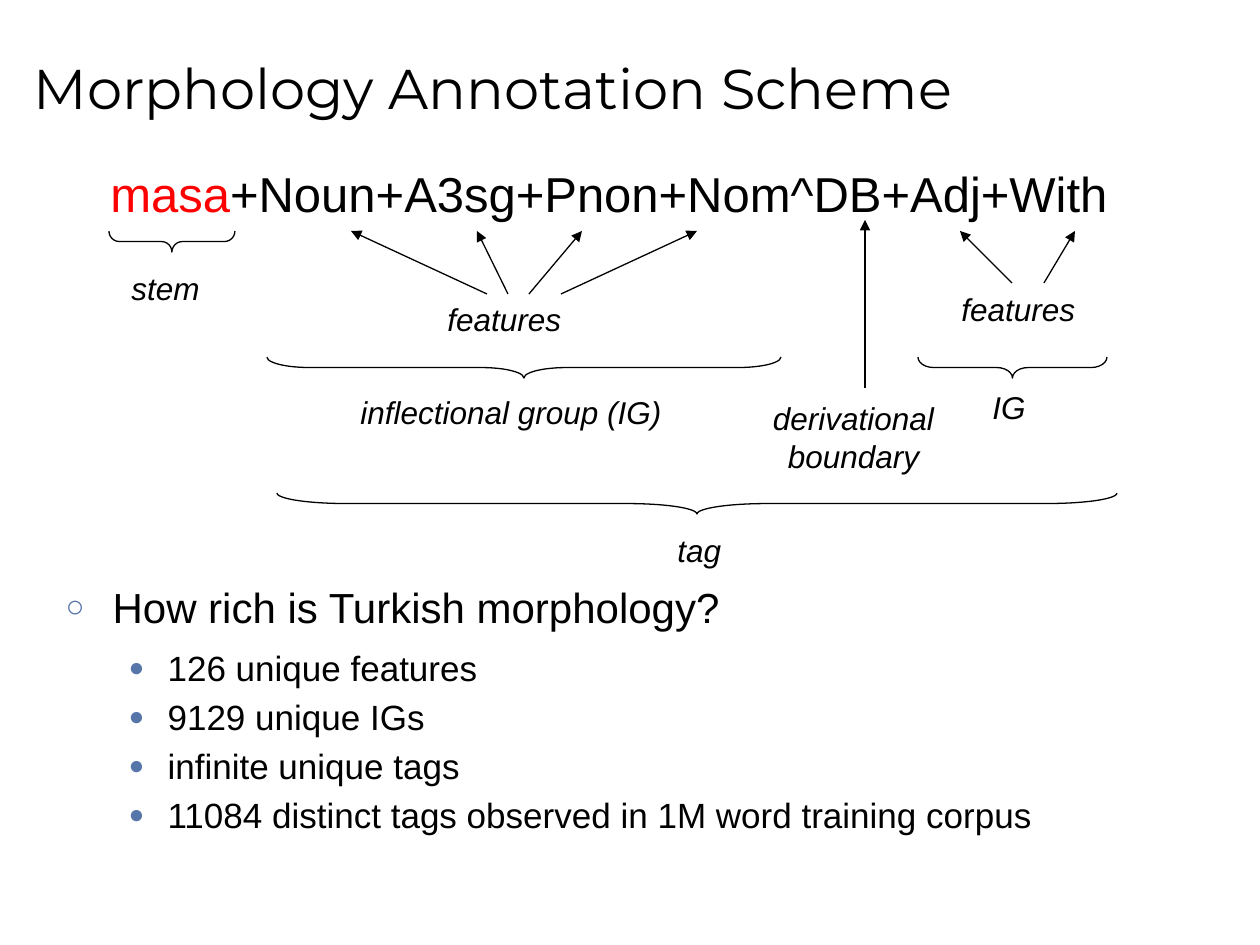
import pptx
import pptx.util
import pptx.dml.color
import pptx.enum.shapes
import pptx.enum.text
import pptx.oxml
import pptx.oxml.ns

RGB = pptx.dml.color.RGBColor
BLACK, RED, BULLET_BLUE = RGB(0, 0, 0), RGB(255, 0, 0), RGB(0x56, 0x75, 0xA9)
ALIGN = pptx.enum.text.PP_ALIGN
ANCHOR = pptx.enum.text.MSO_ANCHOR
AUTO_SIZE = pptx.enum.text.MSO_AUTO_SIZE
PX = 914400 / 126

TITLE = "Morphology Annotation Scheme"
STEM, TAG = "masa", "+Noun+A3sg+Pnon+Nom^DB+Adj+With"
QUESTION = "How rich is Turkish morphology?"
ANSWERS = ["126 unique features", "9129 unique IGs", "infinite unique tags",
           "11084 distinct tags observed in 1M word training corpus"]

# lines of text, left, top, width, height
LABELS = [
    (["stem"], 119, 263, 96, 50),
    (["features"], 435, 294, 139, 50),
    (["features"], 949, 284, 139, 50),
    (["inflectional group (IG)"], 348, 387, 328, 50),
    (["IG"], 980, 382, 60, 50),
    (["derivational", "boundary"], 760, 393, 187, 88),
    (["tag"], 665, 525, 70, 50),
]
# left end, right end, top
BRACES = [(109, 235, 231), (267, 781, 357), (918, 1107, 357), (277, 1117, 493)]
BRACE_DEPTH = 21
# from x, from y, to x, to y
ARROWS = [
    (487, 294, 351, 231), (508, 294, 477, 231),
    (529, 294, 582, 231), (561, 294, 697, 231),
    (1012, 283, 960, 231), (1044, 283, 1075, 231),
    (865, 388, 865, 220),
]


def px(*lengths):
    return [pptx.util.Emu(round(n * PX)) for n in lengths]


def place(s, *box):
    s.left, s.top, s.width, s.height = px(*box)


def add_run(p, text, size=18, font="Arial", color=BLACK, italic=False):
    r = p.add_run()
    r.text = text
    r.font.size = pptx.util.Pt(size)
    r.font.name = font
    r.font.color.rgb = color
    r.font.italic = italic


def add_xml(parent, tag, **attrs):
    child = parent.makeelement(pptx.oxml.ns.qn(tag), attrs)
    parent.append(child)
    return child


def set_bullet(p, char, indent, hanging):
    pPr = p._p.get_or_add_pPr()
    pPr.set("marL", str(px(indent)[0]))
    pPr.set("indent", str(px(-hanging)[0]))
    add_xml(add_xml(pPr, "a:buClr"), "a:srgbClr", val=str(BULLET_BLUE))
    add_xml(pPr, "a:buSzPct", val="75000")
    add_xml(pPr, "a:buFont", typeface="Arial")
    add_xml(pPr, "a:buChar", char=char)


def add_text_box(slide, *box):
    tf = slide.shapes.add_textbox(*px(*box)).text_frame
    tf.word_wrap = False
    tf.auto_size = AUTO_SIZE.SHAPE_TO_FIT_TEXT
    return tf


def add_label(slide, lines, *box):
    tf = add_text_box(slide, *box)
    for i, line in enumerate(lines):
        p = tf.add_paragraph() if i else tf.paragraphs[0]
        if len(lines) > 1:
            p.alignment = ALIGN.CENTER
        add_run(p, line, italic=True)


def add_brace(slide, x1, x2, y):
    """Add a left brace turned so that its point faces down."""
    span = x2 - x1
    left = (x1 + x2 - BRACE_DEPTH) / 2
    top = y + (BRACE_DEPTH - span) / 2
    s = slide.shapes.add_shape(pptx.enum.shapes.MSO_SHAPE.LEFT_BRACE,
                               *px(left, top, BRACE_DEPTH, span))
    s.rotation = 270
    s.adjustments[0] = span / BRACE_DEPTH / 12
    s.adjustments[1] = 0.5
    s.shadow.inherit = False
    s.fill.background()
    s.line.color.rgb = BLACK
    s.line.width = pptx.util.Pt(0.75)


def add_arrow(slide, *ends):
    s = slide.shapes.add_connector(
        pptx.enum.shapes.MSO_CONNECTOR.STRAIGHT, *px(*ends))
    s.line.color.rgb = BLACK
    s.line.width = pptx.util.Pt(0.75)
    add_xml(s.line._get_or_add_ln(), "a:tailEnd", type="triangle")
    add_xml(s._element.spPr, "a:effectLst")


def fill_title(s):
    place(s, 21, 17, 1197, 141)
    tf = s.text_frame
    tf.vertical_anchor = ANCHOR.MIDDLE
    tf.auto_size = AUTO_SIZE.NONE
    p = tf.paragraphs[0]
    p.alignment = ALIGN.LEFT
    add_run(p, TITLE, size=32, font="Montserrat")


def fill_body(s):
    place(s, 53, 575, 1165, 275)
    tf = s.text_frame
    tf.auto_size = AUTO_SIZE.NONE
    p = tf.paragraphs[0]
    set_bullet(p, "○", 47, 47)
    p.space_before, p.space_after = pptx.util.Pt(0), pptx.util.Pt(6.5)
    add_run(p, QUESTION, size=24)
    for answer in ANSWERS:
        p = tf.add_paragraph()
        p.level = 1
        set_bullet(p, "●", 102, 39)
        p.space_before = p.space_after = pptx.util.Pt(2)
        add_run(p, answer, size=20)


def main():
    prs = pptx.Presentation()
    prs.slide_width, prs.slide_height = px(1260, 945)
    slide = prs.slides.add_slide(prs.slide_layouts[1])
    fill_title(slide.shapes.title)
    fill_body(slide.placeholders[1])

    p = add_text_box(slide, 98, 157, 1025, 72).paragraphs[0]
    add_run(p, STEM, size=28, color=RED)
    add_run(p, TAG, size=28)

    for brace in BRACES:
        add_brace(slide, *brace)
    for label in LABELS:
        add_label(slide, *label)
    for arrow in ARROWS:
        add_arrow(slide, *arrow)
    prs.save("out.pptx")


if __name__ == "__main__":
    main()
